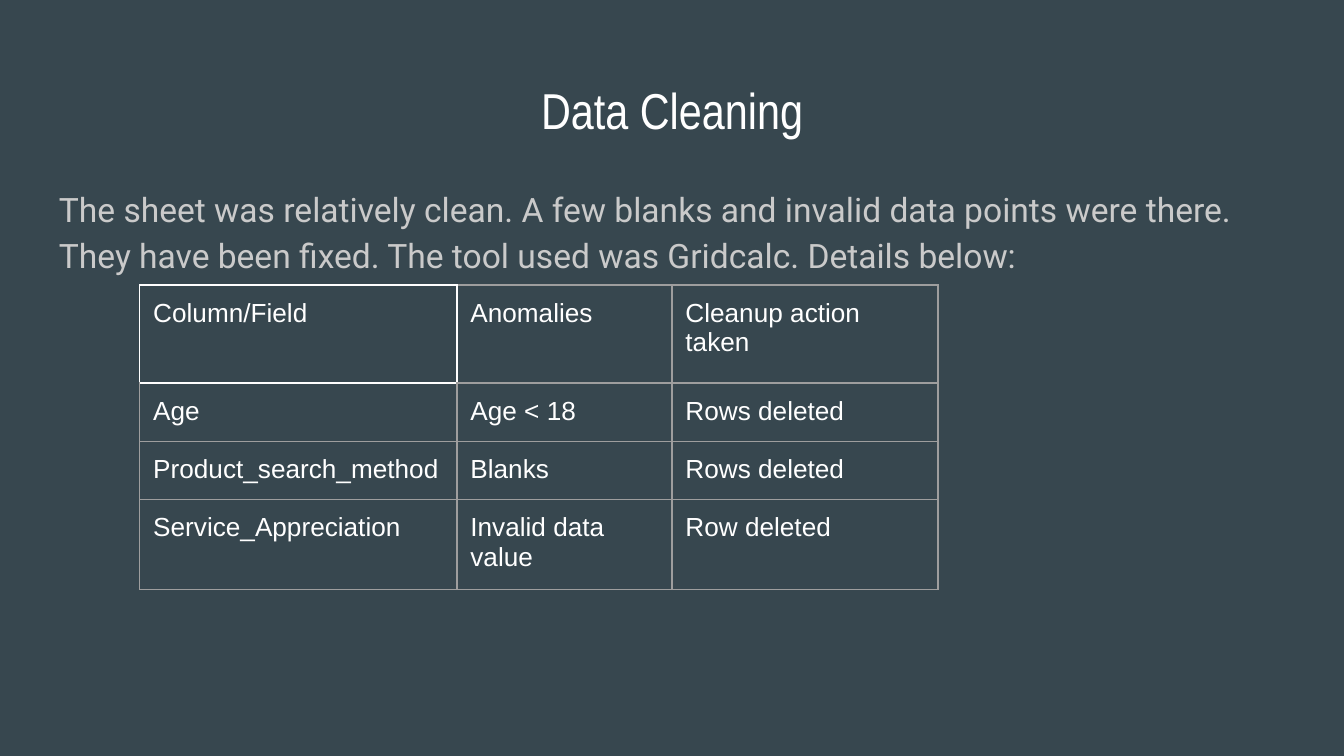
from lxml import etree
from pptx import Presentation
from pptx import util as u
from pptx.dml.color import RGBColor
from pptx.enum import text
from pptx.oxml import ns

SLATE = RGBColor(0x37, 0x47, 0x4F)
WHITE = RGBColor(0xFF, 0xFF, 0xFF)
SILVER = RGBColor(0xCA, 0xCA, 0xCA)
GREY = RGBColor(0x9E, 0x9E, 0x9E)

SLIDE_WIDTH = u.Inches(10)
SLIDE_HEIGHT = SLIDE_WIDTH * 9 // 16
MARGIN = u.Inches(0.1)
COLUMN_WIDTHS = [2.36, 1.6, 1.98]
ROW_HEIGHTS = [0.73, 0.42, 0.42, 0.42]
CLEANUP_STEPS = [
    ["Column/Field", "Anomalies", "Cleanup action taken"],
    ["Age", "Age < 18", "Rows deleted"],
    ["Product_search_method", "Blanks", "Rows deleted"],
    ["Service_Appreciation", "Invalid data value", "Row deleted"],
]


def set_font(font, name, size, color):
    """Set the typeface, size in points and colour of a font."""
    font.name = name
    font.size = u.Pt(size)
    font.color.rgb = color


def set_margins(holder):
    """Apply the common inset to a text frame or a table cell."""
    holder.margin_left = holder.margin_right = MARGIN
    holder.margin_top = holder.margin_bottom = MARGIN


def add_text(slide, box, words, name, size, color):
    """Place one wrapped paragraph in box and return it."""
    frame = slide.shapes.add_textbox(*map(u.Inches, box)).text_frame
    frame.word_wrap = True
    frame.vertical_anchor = text.MSO_ANCHOR.TOP
    set_margins(frame)
    paragraph = frame.paragraphs[0]
    paragraph.text = words
    set_font(paragraph.font, name, size, color)
    return paragraph


def set_borders(cell, colors):
    """Draw the left, right, top and bottom borders in the given colours."""
    properties = cell._tc.get_or_add_tcPr()
    for index, (side, color) in enumerate(zip("LRTB", colors)):
        line = etree.Element(ns.qn(f"a:ln{side}"), w=str(u.Pt(0.75)))
        fill = etree.SubElement(line, ns.qn("a:solidFill"))
        etree.SubElement(fill, ns.qn("a:srgbClr"), val=str(color))
        properties.insert(index, line)


def border_colors(row, column):
    """Return white for edges of the first cell and grey for all others."""
    if (row, column) == (0, 0):
        return [WHITE] * 4
    left = WHITE if (row, column) == (0, 1) else GREY
    top = WHITE if (row, column) == (1, 0) else GREY
    return [left, GREY, top, GREY]


def add_cleanup_table(slide, left, top):
    """Build the table of anomalies and cleanup actions from its top left."""
    size = sum(COLUMN_WIDTHS), sum(ROW_HEIGHTS)
    table = slide.shapes.add_table(
        len(ROW_HEIGHTS), len(COLUMN_WIDTHS),
        *map(u.Inches, (left, top, *size))).table
    table.first_row = table.horz_banding = False
    for column, width in zip(table.columns, COLUMN_WIDTHS):
        column.width = u.Inches(width)
    for row, height in zip(table.rows, ROW_HEIGHTS):
        row.height = u.Inches(height)
    for r, step in enumerate(CLEANUP_STEPS):
        for c, words in enumerate(step):
            cell = table.cell(r, c)
            cell.fill.background()
            set_margins(cell)
            # Row heights are measured with the run font.
            run = cell.text_frame.paragraphs[0].add_run()
            run.text = words
            set_font(run.font, "Arial", 14, WHITE)
            set_borders(cell, border_colors(r, c))


def add_cleaning_slide(deck):
    """Add the data cleaning slide: title, summary and table."""
    slide = deck.slides.add_slide(deck.slide_layouts[6])
    slide.background.fill.solid()
    slide.background.fill.fore_color.rgb = SLATE
    title = add_text(slide, (0.34, 0.49, 9.32, 0.63), "Data Cleaning",
                     "Arial Narrow", 27, WHITE)
    title.alignment = text.PP_ALIGN.CENTER
    summary = add_text(
        slide, (0.34, 1.26, 9.32, 3.74),
        "The sheet was relatively clean. A few blanks and invalid data points "
        "were there. They have been fixed. The tool used was Gridcalc. "
        "Details below:", "Roboto", 18, SILVER)
    summary.line_spacing = 1.15
    summary.space_after = u.Pt(12)
    add_cleanup_table(slide, 1.04, 2.12)


deck = Presentation()
deck.slide_width, deck.slide_height = SLIDE_WIDTH, SLIDE_HEIGHT
add_cleaning_slide(deck)
deck.save("out.pptx")
